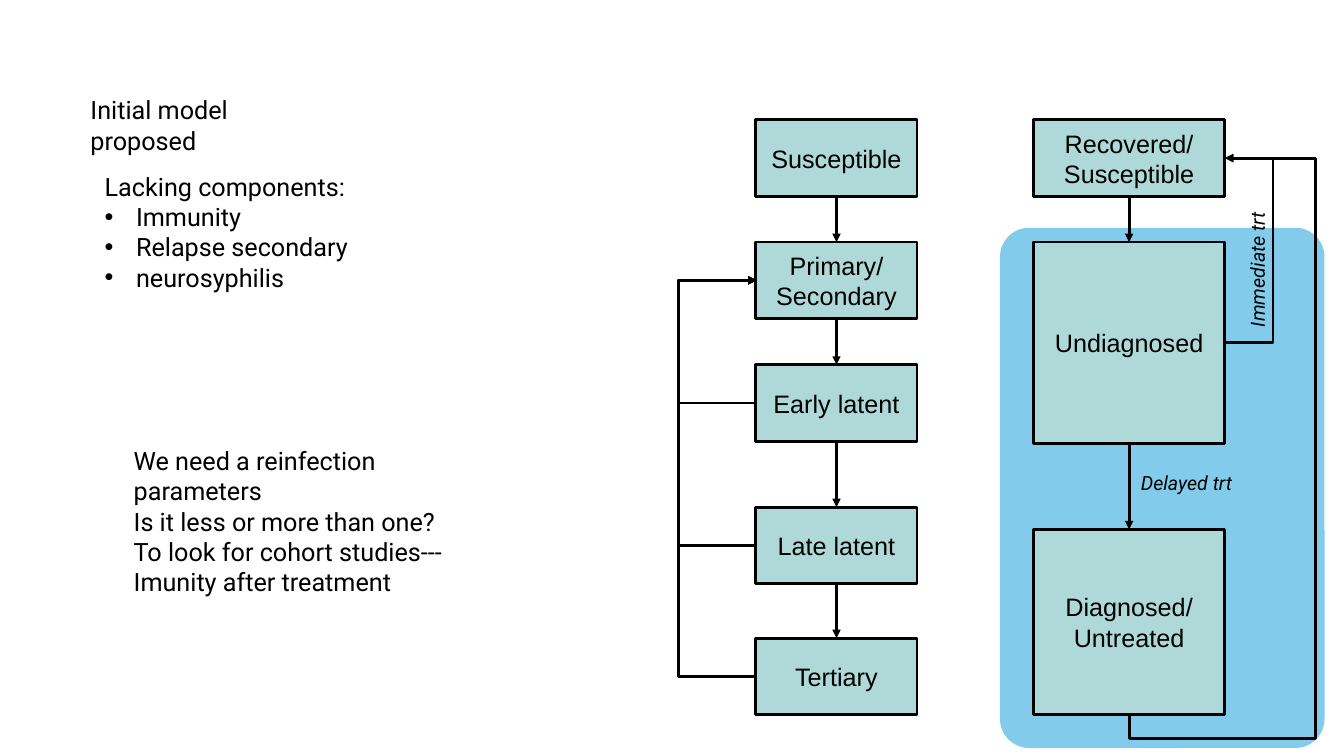
import pptx
import pptx.util
import pptx.dml.color
import pptx.enum.shapes
import pptx.enum.text
import pptx.oxml.ns
from lxml import etree
from pptx.util import Cm

BLACK = pptx.dml.color.RGBColor(0x00, 0x00, 0x00)
TEAL = pptx.dml.color.RGBColor(0xAE, 0xD9, 0xD8)
SKY = pptx.dml.color.RGBColor(0x83, 0xCB, 0xEB)
SHAPE = pptx.enum.shapes.MSO_SHAPE
CONNECTOR = pptx.enum.shapes.MSO_CONNECTOR
qn = pptx.oxml.ns.qn

BOX_HEIGHT = 1.93
STAGE_LEFT, STAGE_WIDTH = 19.05, 4.06
STAGES = [("Susceptible", 3.02), ("Primary/\nSecondary", 6.1), ("Early latent", 9.19),
          ("Late latent", 12.78), ("Tertiary", 16.08)]
STATUS_LEFT, STATUS_WIDTH = 26.04, 4.83
STATUSES = [("Recovered/\nSusceptible", 3.02, BOX_HEIGHT), ("Undiagnosed", 6.1, 5.08),
            ("Diagnosed/ Untreated", 13.34, 4.67)]
RELAPSE_X, IMMEDIATE_X, DELAYED_X, DELAYED_Y = 17.09, 32.08, 33.15, 18.62
SLIVER = 0.02


class DiagramSlide:
    box_font = {"name": "Arial", "size": pptx.util.Pt(18)}
    note_font = {"name": "Roboto", "size": pptx.util.Pt(18)}
    label_font = {"name": "Roboto", "size": pptx.util.Pt(14), "italic": True}
    line_width = pptx.util.Pt(2)

    def __init__(self, slide):
        self.slide = slide

    def fill_text(self, frame, text, font_format, **paragraph_format):
        frame.word_wrap = True
        frame.text = text
        for paragraph in frame.paragraphs:
            for name, value in paragraph_format.items():
                setattr(paragraph, name, value)
            for run in paragraph.runs:
                run.font.color.rgb = BLACK
                for name, value in font_format.items():
                    setattr(run.font, name, value)

    def block(self, preset, left, top, width, height, fill):
        block = self.slide.shapes.add_shape(preset, Cm(left), Cm(top), Cm(width), Cm(height))
        block.shadow.inherit = False
        block.fill.solid()
        block.fill.fore_color.rgb = fill
        block.line.fill.background()
        return block

    def panel(self, left, top, width, height):
        panel = self.block(SHAPE.ROUNDED_RECTANGLE, left, top, width, height, SKY)
        panel.adjustments[0] = 0.09

    def box(self, text, left, top, width, height):
        box = self.block(SHAPE.RECTANGLE, left, top, width, height, TEAL)
        box.line.color.rgb = BLACK
        box.line.width = self.line_width
        box.text_frame.vertical_anchor = pptx.enum.text.MSO_ANCHOR.MIDDLE
        self.fill_text(box.text_frame, text, self.box_font,
                       alignment=pptx.enum.text.PP_ALIGN.CENTER)

    def text(self, text, left, top, width, height, font_format, rotation=0):
        text_box = self.slide.shapes.add_textbox(Cm(left), Cm(top), Cm(width), Cm(height))
        text_box.rotation = rotation
        self.fill_text(text_box.text_frame, text, font_format)
        return text_box.text_frame

    def bullet(self, paragraph):
        properties = paragraph._p.get_or_add_pPr()
        properties.set("marL", str(Cm(0.79)))
        properties.set("indent", str(-Cm(0.79)))
        etree.SubElement(properties, qn("a:buFont"), typeface="Arial")
        etree.SubElement(properties, qn("a:buChar"), char="•")

    def arrow(self, start, end, kind=CONNECTOR.STRAIGHT):
        arrow = self.slide.shapes.add_connector(kind, *(Cm(value) for value in start + end))
        arrow.line.color.rgb = BLACK
        arrow.line.width = self.line_width
        etree.SubElement(arrow.line._get_or_add_ln(), qn("a:tailEnd"), type="triangle")
        etree.SubElement(arrow._element.spPr, qn("a:effectLst"))
        return arrow

    def bend(self, arrow, *ratios):
        """Set where an elbow arrow turns, as shares of its width and height."""
        geometry = arrow._element.spPr.find(qn("a:prstGeom"))
        geometry.set("prst", f"bentConnector{len(ratios) + 2}")
        guides = geometry.find(qn("a:avLst"))
        if guides is None:
            guides = etree.SubElement(geometry, qn("a:avLst"))
        for number, ratio in enumerate(ratios, 1):
            etree.SubElement(guides, qn("a:gd"), name=f"adj{number}",
                             fmla=f"val {round(ratio * 100000)}")

    def side_loop(self, start, end, turn_x):
        """Leave and re-enter a column on the same side, by way of turn_x."""
        arrow = self.arrow(start, end, CONNECTOR.ELBOW)
        self.bend(arrow, (turn_x - start[0]) / (end[0] - start[0]))

    def under_loop(self, start, end, turn_x, turn_y):
        """Leave downwards, pass turn_x and enter from the right."""
        across, rise = end[0] - start[0], start[1] - end[1]
        middle_x, middle_y = (start[0] + end[0]) / 2, (start[1] + end[1]) / 2
        arrow = self.arrow((middle_x + rise / 2, middle_y + across / 2),
                           (middle_x - rise / 2, middle_y - across / 2), CONNECTOR.ELBOW)
        arrow._element.spPr.find(qn("a:xfrm")).set("rot", str(90 * 60000))
        self.bend(arrow, (start[1] - turn_y) / rise, (turn_x - start[0]) / across)


def draw_stages(diagram):
    middle_x = STAGE_LEFT + STAGE_WIDTH / 2
    for stage, top in STAGES:
        diagram.box(stage, STAGE_LEFT, top, STAGE_WIDTH, BOX_HEIGHT)
    for (_, top), (_, next_top) in zip(STAGES, STAGES[1:]):
        diagram.arrow((middle_x, top + BOX_HEIGHT), (middle_x, next_top))
    primary_y = STAGES[1][1] + BOX_HEIGHT / 2
    for _, top in STAGES[2:]:
        diagram.side_loop((STAGE_LEFT, top + BOX_HEIGHT / 2),
                          (STAGE_LEFT + SLIVER, primary_y), RELAPSE_X)


def draw_statuses(diagram):
    middle_x, right = STATUS_LEFT + STATUS_WIDTH / 2, STATUS_LEFT + STATUS_WIDTH
    for status, top, height in STATUSES:
        diagram.box(status, STATUS_LEFT, top, STATUS_WIDTH, height)
    for (_, top, height), (_, next_top, _) in zip(STATUSES, STATUSES[1:]):
        diagram.arrow((middle_x, top + height), (middle_x, next_top))
    recovered_y, undiagnosed_y, _ = (top + height / 2 for _, top, height in STATUSES)
    _, last_top, last_height = STATUSES[-1]
    diagram.under_loop((middle_x, last_top + last_height), (right, recovered_y),
                       DELAYED_X, DELAYED_Y)
    diagram.side_loop((right - SLIVER, undiagnosed_y), (right, recovered_y), IMMEDIATE_X)
    diagram.text("Immediate trt", 29.85, 6.22, 3.68, 0.86, diagram.label_font, rotation=270)
    diagram.text("Delayed trt", 28.5, 11.73, 3.28, 0.86, diagram.label_font)


def draw_notes(diagram):
    diagram.text("Initial model proposed", 2.03, 2.26, 6.6, 1.02, diagram.note_font)
    lacking = diagram.text("Lacking components:\nImmunity\nRelapse secondary\nneurosyphilis",
                           2.39, 4.19, 6.9, 3.33, diagram.note_font)
    for component in lacking.paragraphs[1:]:
        diagram.bullet(component)
    diagram.text("We need a reinfection parameters\nIs it less or more than one?\n"
                 "To look for cohort studies---\nImunity after treatment",
                 3.12, 11.1, 9.8, 3.33, diagram.note_font)


def main():
    deck = pptx.Presentation()
    deck.slide_width, deck.slide_height = Cm(33.87), Cm(19.05)
    diagram = DiagramSlide(deck.slides.add_slide(deck.slide_layouts[6]))
    diagram.panel(25.2, 5.74, 8.18, 13.11)
    draw_stages(diagram)
    draw_statuses(diagram)
    draw_notes(diagram)
    deck.save("out.pptx")


if __name__ == "__main__":
    main()
